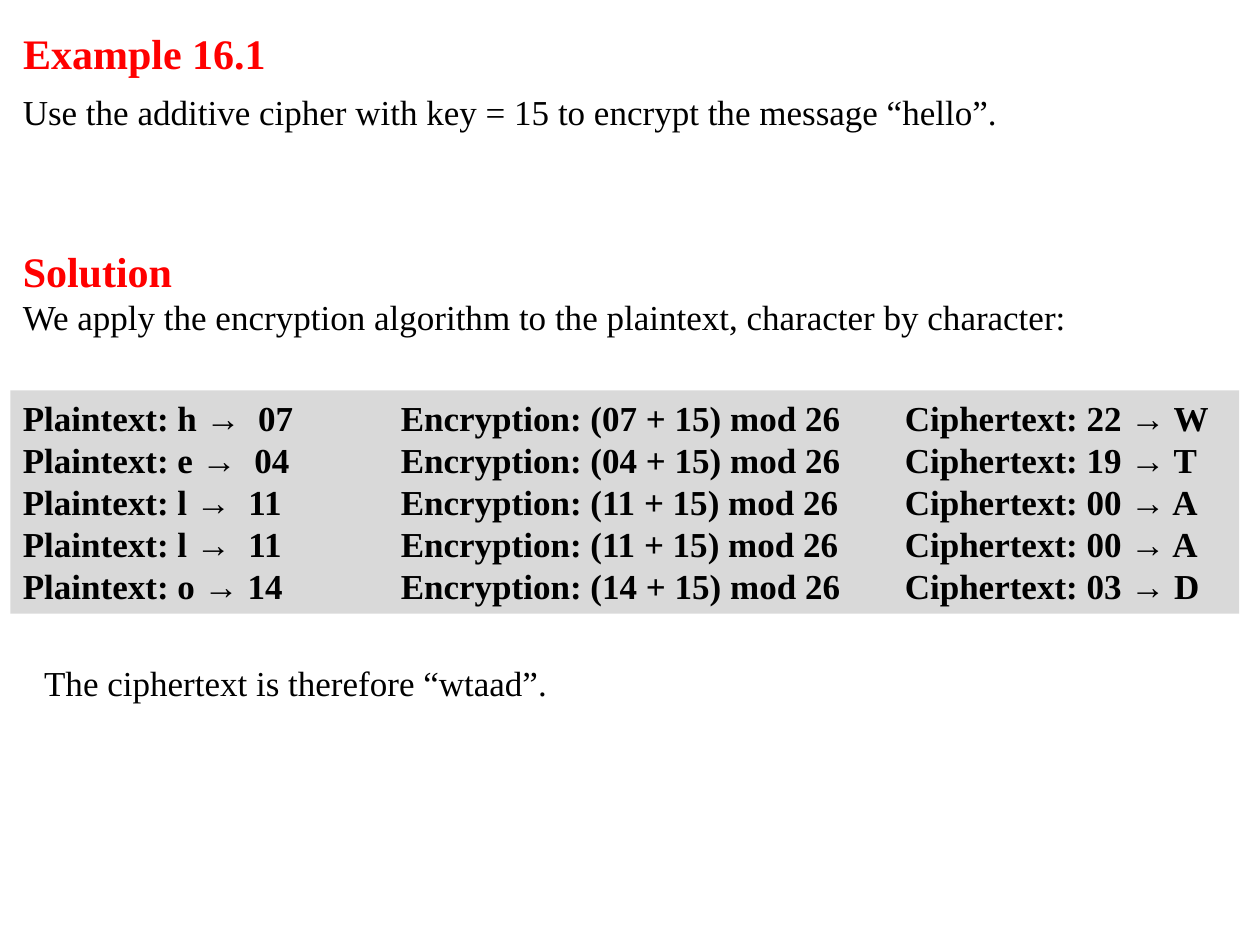
"""Build the slide that works through an additive cipher example."""
from dataclasses import dataclass

from lxml import etree
from pptx import Presentation
from pptx.dml.color import RGBColor
from pptx.enum.shapes import MSO_SHAPE
from pptx.enum.text import MSO_ANCHOR, MSO_AUTO_SIZE, PP_ALIGN
from pptx.oxml.ns import qn
from pptx.util import Cm, Pt

RECTANGLE = MSO_SHAPE.RECTANGLE
TOP, MIDDLE = MSO_ANCHOR.TOP, MSO_ANCHOR.MIDDLE
LEFT, JUSTIFY = PP_ALIGN.LEFT, PP_ALIGN.JUSTIFY
FIT_SHAPE = MSO_AUTO_SIZE.SHAPE_TO_FIT_TEXT

COLOURS = {"heading": "FF0000", "body": "000000", "panel": "D9D9D9", "paper": "FFFFFF"}
FONT = "Times New Roman"
KEY = 15
MESSAGE = "hello"
TAB_STOPS = (Cm(7.62), Cm(17.78))


@dataclass(frozen=True)
class Style:
    size: int
    colour: str
    bold: bool


HEADING = Style(24, "heading", True)
BODY = Style(20, "body", False)
STEP = Style(20, "body", True)


@dataclass(frozen=True)
class Line:
    text: str
    style: Style


@dataclass(frozen=True)
class Block:
    left: float
    top: float
    width: float
    height: float
    lines: tuple[Line, ...]


def cipher_step(letter: str) -> Line:
    plain = ord(letter) - ord("a")
    cipher = (plain + KEY) % 26
    gap = " " if letter == "o" else "  "
    return Line(
        f"Plaintext: {letter} →{gap}{plain:02d} "
        f"\tEncryption: ({plain:02d} + {KEY}) mod 26 "
        f"\tCiphertext: {cipher:02d} → {chr(ord('A') + cipher)}",
        STEP,
    )


TITLE = Block(0.21, 0.43, 5.8, 1.27, (Line("Example 16.1", HEADING),))
PANEL = Block(0.21, 7.87, 24.77, 4.5, tuple(cipher_step(letter) for letter in MESSAGE))
TEXTS = (
    Block(0.21, 1.69, 24.31, 1.11, (
        Line(f"Use the additive cipher with key = {KEY} to encrypt the message “{MESSAGE}”.", BODY),
    )),
    Block(0.21, 4.82, 22.86, 2.12, (
        Line("Solution", HEADING),
        Line("We apply the encryption algorithm to the plaintext, character by character:", BODY),
    )),
    Block(0.64, 13.2, 22.86, 1.11, (Line("The ciphertext is therefore “wtaad”.", BODY),)),
)


def bounds(block: Block) -> tuple:
    return Cm(block.left), Cm(block.top), Cm(block.width), Cm(block.height)


def paint(shape, colour: str) -> None:
    shape.fill.solid()
    shape.fill.fore_color.rgb = RGBColor.from_string(COLOURS[colour])


def add_tab_stops(paragraph) -> None:
    tabs = etree.SubElement(paragraph._p.get_or_add_pPr(), qn("a:tabLst"))
    for position in TAB_STOPS:
        etree.SubElement(tabs, qn("a:tab"), pos=str(int(position)), algn="l")


def write(shape, block: Block, anchor, alignment) -> None:
    frame = shape.text_frame
    frame.text = "\n".join(line.text for line in block.lines)
    frame.word_wrap = True
    frame.auto_size = FIT_SHAPE
    frame.vertical_anchor = anchor
    for paragraph, line in zip(frame.paragraphs, block.lines):
        paragraph.alignment = alignment
        if "\t" in line.text:
            add_tab_stops(paragraph)
        for span in paragraph.runs:
            span.font.name = FONT
            span.font.size = Pt(line.style.size)
            span.font.bold = line.style.bold
            span.font.color.rgb = RGBColor.from_string(COLOURS[line.style.colour])


def build() -> None:
    deck = Presentation()
    deck.slide_width, deck.slide_height = Cm(25.4), Cm(19.05)
    page = deck.slides.add_slide(deck.slide_layouts[5])

    title = page.shapes.title
    title.left, title.top, title.width, title.height = bounds(TITLE)
    paint(title, "paper")
    write(title, TITLE, TOP, LEFT)

    for block in TEXTS:
        write(page.shapes.add_textbox(*bounds(block)), block, MIDDLE, JUSTIFY)

    panel = page.shapes.add_shape(RECTANGLE, *bounds(PANEL))
    panel.shadow.inherit = False
    panel.line.fill.background()
    paint(panel, "panel")
    write(panel, PANEL, TOP, JUSTIFY)

    deck.save("out.pptx")


build()
